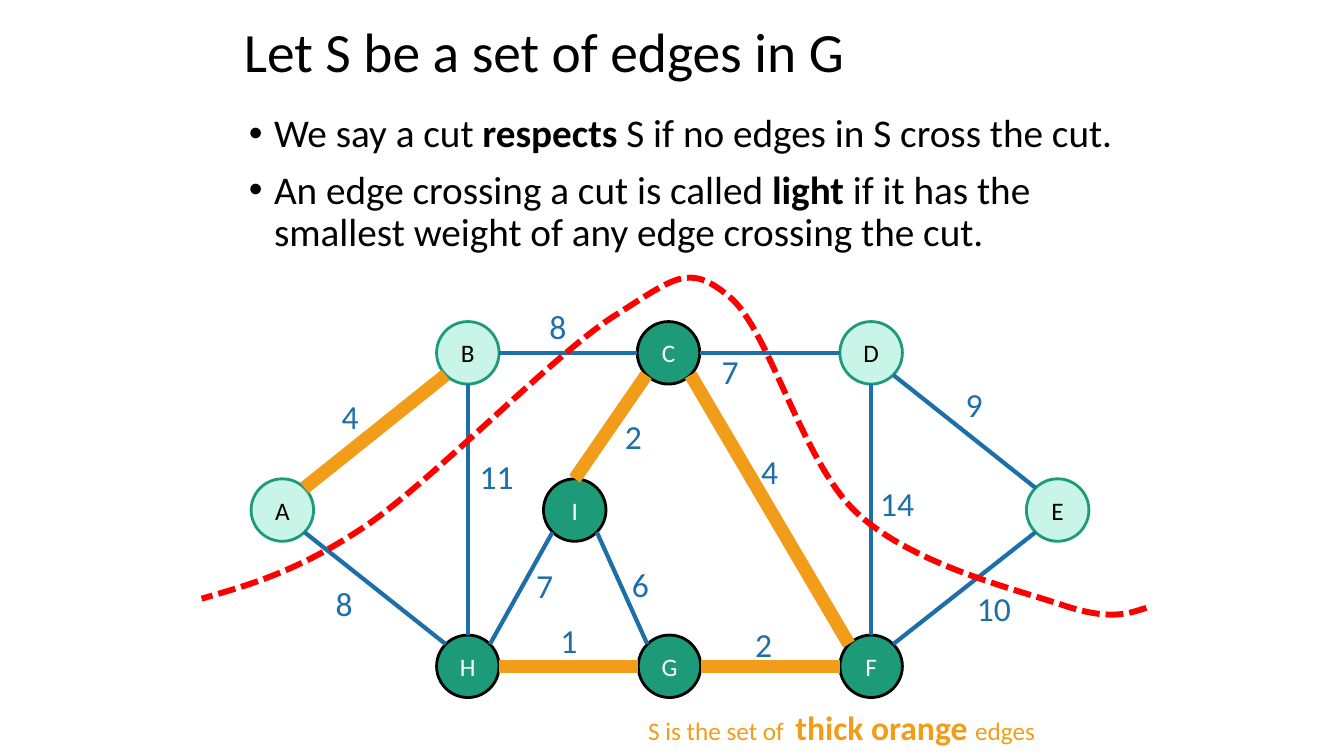
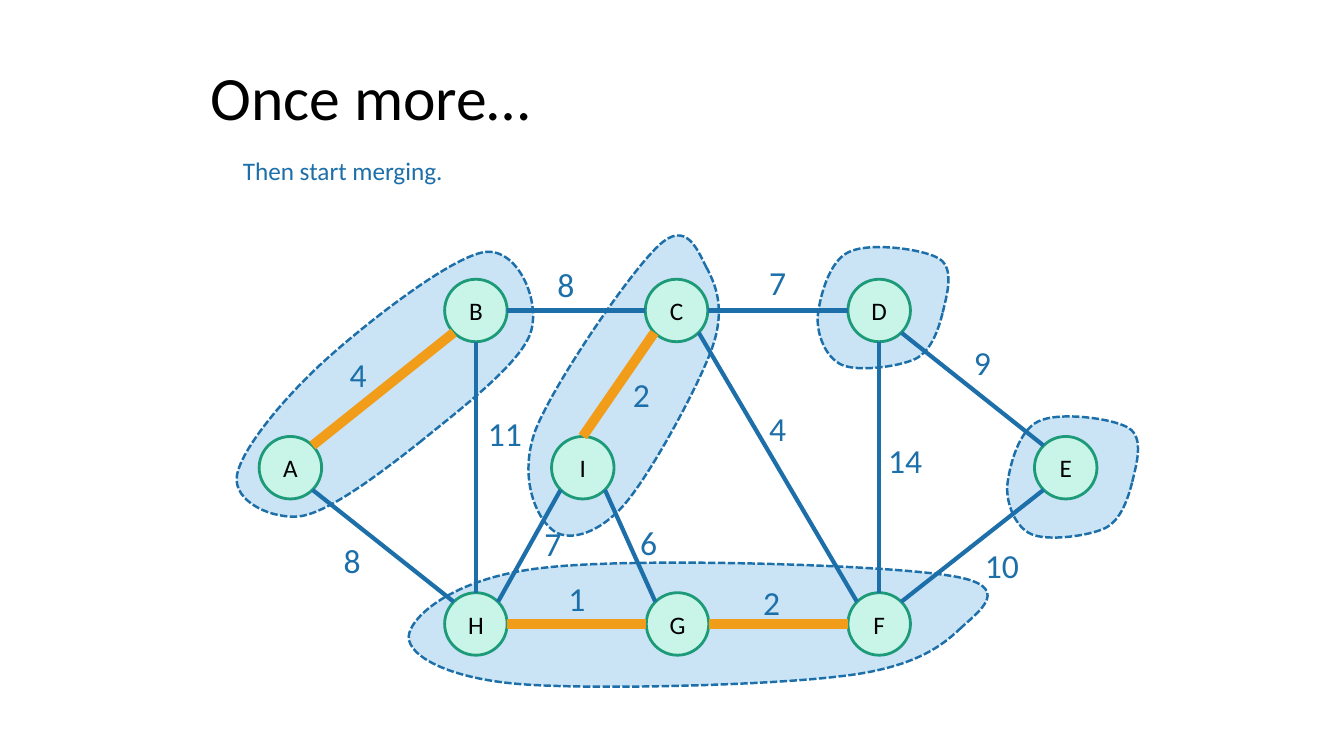
from lxml.etree import SubElement
from pptx import Presentation
from pptx.dml.color import RGBColor
from pptx.enum.dml import MSO_LINE
from pptx.enum.shapes import MSO_CONNECTOR, MSO_SHAPE
from pptx.enum.text import MSO_ANCHOR, PP_ALIGN
from pptx.oxml.ns import qn
from pptx.util import Inches, Pt

# Shared look
FONT = "Calibri"
BLACK, WHITE, RED = "000000", "FFFFFF", "FF0000"
BLUE, PALE, ORANGE = "1D6FA9", "CAE4F6", "F19D19"
GREEN, MINT = "1D9A78", "C8F5E8"
SIZE = 0.62
THIN = 3

# Graph: node corners, edges and label corners, from the top left of the graph
NODES = {
    "A": (-0.01, 1.56), "B": (1.83, 0), "C": (3.82, 0), "D": (5.83, 0),
    "E": (7.68, 1.56), "F": (5.83, 3.11), "G": (3.83, 3.11),
    "H": (1.83, 3.11), "I": (2.89, 1.56),
}
# Start node and side, end node and side, weight, label corner
EDGES = [
    ("C", "SE", "F", "NW", "4", (4.95, 1.23)),
    ("C", "E", "D", "W", "7", (4.95, -0.22)),
    ("E", "NW", "D", "SE", "9", (6.98, 0.57)),
    ("E", "SW", "F", "NE", "10", (7.09, 2.59)),
    ("D", "S", "F", "N", "14", (6.13, 1.55)),
    ("I", "SE", "G", "NW", "6", (3.67, 2.36)),
    ("G", "E", "F", "W", "2", (4.89, 2.95)),
    ("I", "N", "C", "SW", "2", (3.6, 0.89)),
    ("B", "E", "C", "W", "8", (2.85, -0.2)),
    ("A", "NE", "B", "SW", "4", (0.79, 0.69)),
    ("A", "SE", "H", "NW", "8", (0.73, 2.54)),
    ("G", "W", "H", "E", "1", (2.96, 2.91)),
    ("I", "SW", "H", "NE", "7", (2.72, 2.37)),
    ("H", "N", "B", "S", "11", (2.16, 1.28)),
]
# Connection sites of an ellipse, in order, as parts of the radius
SITES = {
    "N": (0, -1), "NW": (-0.71, -0.71), "W": (-1, 0), "SW": (-0.71, 0.71),
    "S": (0, 1), "SE": (0.71, 0.71), "E": (1, 0), "NE": (0.71, -0.71),
}

# Curves: a start point, then two handles and an end point for each piece
CUT = [
    (8.87, 2.84), (8.69, 2.9), (8.5, 2.97), (8.03, 2.81),
    (7.55, 2.65), (6.55, 2.41), (6, 1.9),
    (5.45, 1.39), (5.13, 0.07), (4.73, -0.25),
    (4.33, -0.58), (4.2, -0.44), (3.6, -0.06),
    (3, 0.32), (1.82, 1.55), (1.14, 2.02),
    (0.46, 2.48), (-0.02, 2.61), (-0.5, 2.75),
]
SINGLE = [
    (0.97, 0.45), (1.01, 0.28), (1.09, 0.02), (0.94, -0.08),
    (0.79, -0.18), (0.24, -0.25), (0.04, -0.15),
    (-0.16, -0.06), (-0.25, 0.3), (-0.27, 0.49),
    (-0.28, 0.67), (-0.19, 0.9), (-0.03, 0.97),
    (0.13, 1.04), (0.53, 0.99), (0.7, 0.91),
    (0.86, 0.83), (0.93, 0.61), (0.97, 0.45),
]
# Merged groups, each from the corner of its first node
GROUPS = {
    "E": SINGLE,
    "D": [(x - 0.03, y - 0.12) for x, y in SINGLE],
    "C": [
        (0.61, -0.11), (0.52, -0.28), (0.41, -0.6), (0.13, -0.33),
        (-0.16, -0.06), (-0.91, 1.04), (-1.09, 1.5),
        (-1.26, 1.97), (-1.08, 2.36), (-0.93, 2.48),
        (-0.79, 2.61), (-0.49, 2.55), (-0.22, 2.25),
        (0.04, 1.96), (0.52, 1.08), (0.66, 0.69),
        (0.8, 0.3), (0.7, 0.06), (0.61, -0.11),
    ],
    "A": [
        (1.59, 0.06), (1.97, -0.25), (2.58, -0.71), (2.69, -1.02),
        (2.8, -1.33), (2.57, -1.87), (2.24, -1.83),
        (1.9, -1.78), (1.07, -1.13), (0.66, -0.76),
        (0.25, -0.39), (-0.18, 0.13), (-0.22, 0.39),
        (-0.26, 0.65), (0.14, 0.83), (0.42, 0.79),
        (0.71, 0.74), (1.21, 0.36), (1.59, 0.06),
    ],
    "H": [
        (5.11, 0.36), (5.29, 0.19), (5.68, -0.07), (5, -0.17),
        (4.31, -0.28), (1.91, -0.35), (1.01, -0.25),
        (0.12, -0.16), (-0.3, 0.21), (-0.35, 0.4),
        (-0.41, 0.59), (-0.04, 0.83), (0.67, 0.9),
        (1.38, 0.97), (3.19, 0.92), (3.92, 0.83),
        (4.65, 0.75), (4.93, 0.53), (5.11, 0.36),
    ],
}


def color(code):
    return RGBColor.from_string(code)


def style(item, vals):
    for name, val in vals.items():
        setattr(item, name, val)


def add_run(para, words, size, ink, bold=False):
    run = para.add_run()
    run.text = words
    style(run.font, {"name": FONT, "size": Pt(size), "bold": bold})
    run.font.color.rgb = color(ink)


def paint(shape, fill, ink, width, dash=None):
    shape.shadow.inherit = False
    if fill:
        shape.fill.solid()
        shape.fill.fore_color.rgb = color(fill)
    else:
        shape.fill.background()
    shape.line.color.rgb = color(ink)
    style(shape.line, {"width": Pt(width), "dash_style": dash})


def add_text(slide, box, runs, anchor=MSO_ANCHOR.TOP, lead=None):
    frame = slide.shapes.add_textbox(*map(Inches, box)).text_frame
    style(frame, {"word_wrap": True, "vertical_anchor": anchor})
    para = frame.paragraphs[0]
    para.line_spacing = lead
    for run in runs:
        add_run(para, *run)


def add_title(slide, box, words, size):
    add_text(slide, box, [(words, size, BLACK)], MSO_ANCHOR.MIDDLE, 0.9)


def add_list(slide, box, items):
    frame = slide.shapes.add_textbox(*map(Inches, box)).text_frame
    frame.word_wrap = True
    for num, runs in enumerate(items):
        para = frame.add_paragraph() if num else frame.paragraphs[0]
        style(para, {"line_spacing": 0.9, "space_before": Pt(10 if num else 0)})
        props = para._p.get_or_add_pPr()
        props.set("marL", str(Inches(0.25)))
        props.set("indent", str(Inches(-0.25)))
        SubElement(props, qn("a:buFont")).set("typeface", "Arial")
        SubElement(props, qn("a:buChar")).set("char", "•")
        for words, bold in runs:
            add_run(para, words, 28, BLACK, bold)


def blend(piece, t):
    parts = ((1 - t) ** 3, 3 * t * (1 - t) ** 2, 3 * t * t * (1 - t), t ** 3)
    return tuple(int(sum(w * p[axis] for w, p in zip(parts, piece)))
                 for axis in (0, 1))


def add_curve(slide, left, top, points, fill, ink, width, dash):
    points = [(Inches(left + x), Inches(top + y)) for x, y in points]
    pieces = [points[k:k + 4] for k in range(0, len(points) - 1, 3)]
    # Points along the curve give the shape its frame
    form = slide.shapes.build_freeform(*points[0])
    form.add_line_segments([blend(piece, step / 16) for piece in pieces
                            for step in range(1, 17)], close=False)
    shape = form.convert_to_shape()
    paint(shape, fill, ink, width, dash)
    # Smooth pieces then take the place of the straight ones
    trace = next(shape._element.iter(qn("a:path")))
    for part in list(trace)[1:]:
        trace.remove(part)
    for piece in pieces:
        bend = SubElement(trace, qn("a:cubicBezTo"))
        for x, y in piece[1:]:
            spot = SubElement(bend, qn("a:pt"))
            spot.set("x", str(x - shape.left))
            spot.set("y", str(y - shape.top))
    if fill:
        SubElement(trace, qn("a:close"))


def add_node(slide, left, top, name, dark):
    spot = slide.shapes.add_shape(
        MSO_SHAPE.OVAL, *map(Inches, (left, top, SIZE, SIZE)))
    paint(spot, GREEN if dark else MINT, BLACK if dark else GREEN, 2)
    frame = spot.text_frame
    style(frame, {"vertical_anchor": MSO_ANCHOR.MIDDLE, "word_wrap": False})
    para = frame.paragraphs[0]
    para.alignment = PP_ALIGN.CENTER
    add_run(para, name, 18, WHITE if dark else BLACK)
    return spot


def add_edge(slide, ends, ink, width):
    dots = []
    for node, side in ends:
        x, y = SITES[side]
        dots += [int(node.left + node.width * (1 + x) / 2),
                 int(node.top + node.height * (1 + y) / 2)]
    line = slide.shapes.add_connector(MSO_CONNECTOR.STRAIGHT, *dots)
    line.line.color.rgb = color(ink)
    line.line.width = Pt(width)
    SubElement(line._element.spPr, qn("a:effectLst"))
    # Tie both ends to their nodes
    links = line._element.nvCxnSpPr.cNvCxnSpPr
    for tag, (node, side) in zip(("a:stCxn", "a:endCxn"), ends):
        link = SubElement(links, qn(tag))
        link.set("id", str(node.shape_id))
        link.set("idx", str(list(SITES).index(side)))


def add_graph(slide, left, top, dark, thick, width, moved):
    nodes = {name: add_node(slide, left + x, top + y, name, name in dark)
             for name, (x, y) in NODES.items()}
    for one, side, two, face, _, _ in EDGES:
        bold = one + two in thick
        add_edge(slide, [(nodes[one], side), (nodes[two], face)],
                 ORANGE if bold else BLUE, width if bold else THIN)
    for one, _, two, _, weight, spot in EDGES:
        x, y = moved.get(one + two, spot)
        add_text(slide, (left + x, top + y, 0.86, 0.5), [(weight, 24, BLUE)])


def cut_slide(deck):
    slide = deck.slides.add_slide(deck.slide_layouts[6])
    left, top = 2.5, 3.19
    add_title(slide, (2.32, 0.17, 8.62, 0.74), "Let S be a set of edges in G", 39.6)
    add_list(slide, (2.37, 1.08, 9, 1.56), [
        [("We say a cut ", False), ("respects", True),
         (" S if no edges in S cross the cut.", False)],
        [("An edge crossing a cut is called ", False), ("light ", True),
         ("if it has the smallest weight of any edge crossing the cut.", False)],
    ])
    add_graph(slide, left, top, "CFGHI", ("AB", "IC", "CF", "GF", "GH"), 9.5,
              {"CD": (4.56, 0.24)})
    add_curve(slide, left, top, CUT, None, RED, 4.25, MSO_LINE.SQUARE_DOT)
    add_text(slide, (6.33, 6.96, 4.42, 0.5), [
        ("S is the set of  ", 18, ORANGE), ("thick orange ", 24, ORANGE, True),
        ("edges", 18, ORANGE)])


def merge_slide(deck):
    slide = deck.slides.add_slide(deck.slide_layouts[6])
    left, top = 2.58, 2.77
    add_title(slide, (1.99, 0.04, 9.72, 1.91), "Once more…", 44)
    for name, points in GROUPS.items():
        x, y = NODES[name]
        add_curve(slide, left + x, top + y, points, PALE, BLUE, 1.75,
                  MSO_LINE.SQUARE_DOT)
    add_graph(slide, left, top, "", ("AB", "IC", "GF", "GH"), 7, {})
    add_text(slide, (2.31, 1.49, 4.54, 0.4), [("Then start merging.", 18, BLUE)])


def main():
    deck = Presentation()
    style(deck, {"slide_width": Inches(13.33), "slide_height": Inches(7.5)})
    cut_slide(deck)
    merge_slide(deck)
    deck.save("out.pptx")


if __name__ == "__main__":
    main()
